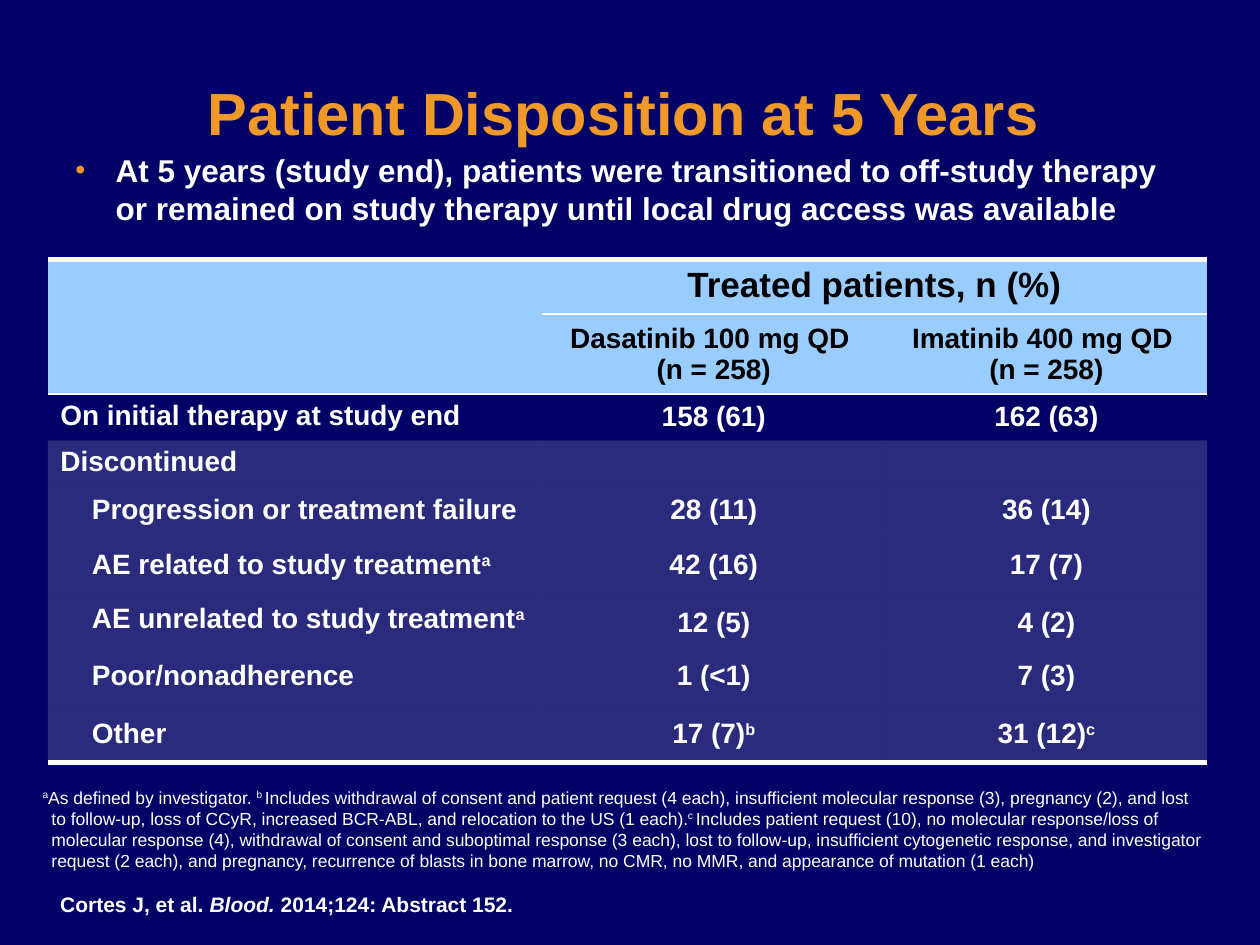
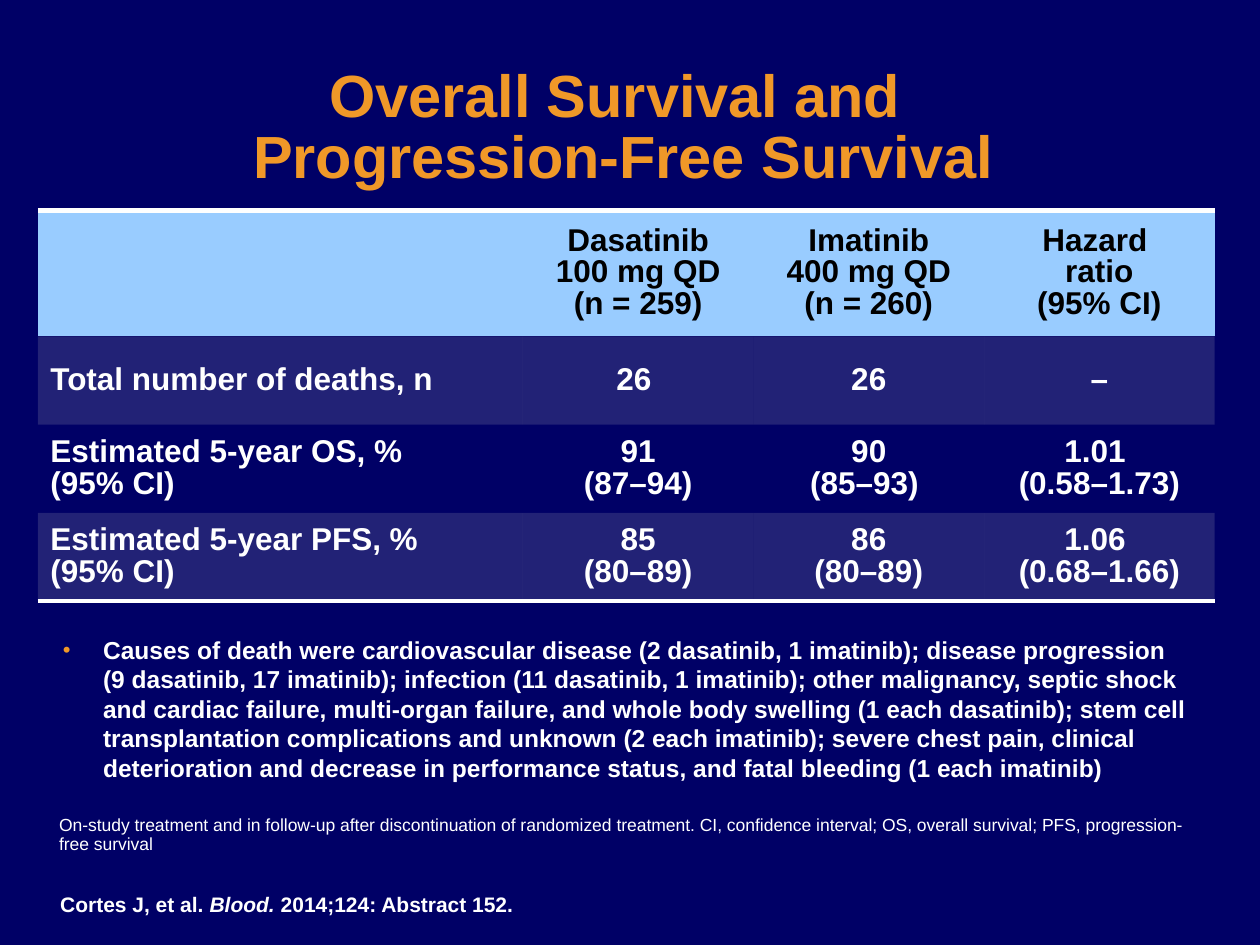
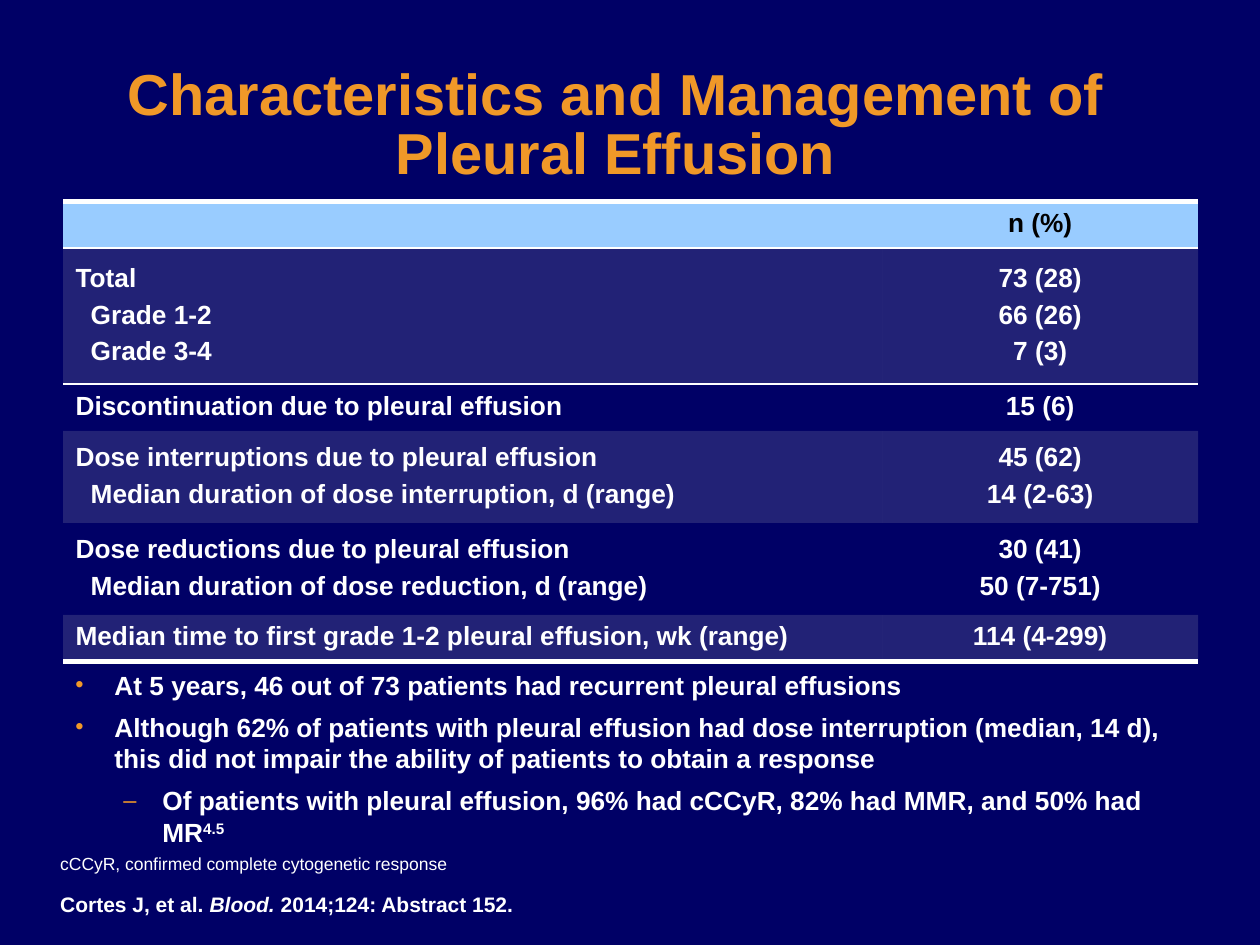
from copy import deepcopy
from dataclasses import dataclass, field
from typing import NamedTuple

from lxml.etree import SubElement
from pptx import Presentation
from pptx.dml.color import RGBColor
from pptx.enum.text import MSO_ANCHOR as Anchor, PP_ALIGN as Align
from pptx.oxml.ns import qn
from pptx.util import Inches, Pt

# Shared look
FONT = "Arial"
NAVY, ORANGE, WHITE, BLACK = "000066", "F09828", "FFFFFF", "000000"
HEADER_BLUE, GREY, BLUE_GREY = "99CCFF", "DADADA", "AAAAB8"
BAND_OPACITY = 20
TITLE_INSETS = (0, 0.05, 0.1, 0.05)
TEXT_INSETS = (0.1, 0.05, 0.1, 0.05)


class Run(NamedTuple):
    text: str
    superscript: bool = False
    italic: bool = False


@dataclass
class Para:
    content: str | list[Run]
    size: float | None = None
    indent: float = 0
    hanging: float = 0
    bullet: str = ""
    formats: dict = field(default_factory=dict)


@dataclass
class TextBlock:
    box: tuple[float, float, float, float]
    paragraphs: list[Para]
    size: float
    color: str = WHITE
    bold: bool = True
    anchor: Anchor = Anchor.TOP
    wrap: bool = True
    insets: tuple[float, float, float, float] = TEXT_INSETS


Cell = str | list[Para]


@dataclass
class TableBlock:
    left: float
    top: float
    columns: list[float]
    heights: list[float]
    cells: list[list[Cell]]
    size: float
    band_color: str
    banded_rows: set[int]
    rules: dict[int, float]  # row boundary -> line width
    header_rows: int = 1
    formats: dict = field(default_factory=dict)
    anchors: dict[tuple[int, int], Anchor] = field(default_factory=dict)
    merges: list[tuple[int, int, int, int]] = field(default_factory=list)


def rgb(color: str) -> RGBColor:
    return RGBColor.from_string(color)


def superscript(text: str) -> Run:
    return Run(text, superscript=True)


# Text
def style_font(font, size: float, color: str, bold: bool, italic: bool = False) -> None:
    values = {"name": FONT, "size": Pt(size), "bold": bold, "italic": italic}
    for name, value in values.items():
        setattr(font, name, value)
    font.color.rgb = rgb(color)


def add_run(paragraph, run: Run, size: float, color: str, bold: bool) -> None:
    for number, line in enumerate(run.text.split("\n")):
        if number:
            paragraph.add_line_break()
        text_run = paragraph.add_run()
        text_run.text = line
        style_font(text_run.font, size, color, bold, run.italic)
        properties = text_run._r.get_or_add_rPr()
        if run.superscript:
            properties.set("baseline", "30000")
        if number:
            text_run._r.getprevious().append(deepcopy(properties))


def add_bullet(properties, character: str) -> None:
    color = SubElement(properties, qn("a:buClr"))
    SubElement(color, qn("a:srgbClr"), val=ORANGE)
    SubElement(properties, qn("a:buSzPct"), val="90000")
    SubElement(properties, qn("a:buFont"), typeface=FONT)
    SubElement(properties, qn("a:buChar"), char=character)


def fill_text(frame, paragraphs: list[Para], size: float, color: str,
              bold: bool, formats: dict) -> None:
    for number, para in enumerate(paragraphs):
        paragraph = frame.add_paragraph() if number else frame.paragraphs[0]
        for name, value in (formats | para.formats).items():
            setattr(paragraph, name, value)
        properties = paragraph._p.get_or_add_pPr()
        properties.set("marL", str(Inches(para.indent)))
        properties.set("indent", str(Inches(para.hanging)))
        if para.bullet:
            add_bullet(properties, para.bullet)
        runs = [Run(para.content)] if isinstance(para.content, str) else para.content
        for run in runs:
            add_run(paragraph, run, para.size or size, color, bold)


def draw_text(slide, block: TextBlock) -> None:
    shape = slide.shapes.add_textbox(*map(Inches, block.box))
    frame = shape.text_frame
    left, top, right, bottom = map(Inches, block.insets)
    values = {"word_wrap": block.wrap, "vertical_anchor": block.anchor,
              "margin_left": left, "margin_top": top,
              "margin_right": right, "margin_bottom": bottom}
    for name, value in values.items():
        setattr(frame, name, value)
    fill_text(frame, block.paragraphs, block.size, block.color, block.bold, {})


# Tables
def set_borders(cell, top: float, bottom: float) -> None:
    properties = cell._tc.get_or_add_tcPr()
    widths = {"a:lnL": 0, "a:lnR": 0, "a:lnT": top, "a:lnB": bottom}
    for position, (tag, width) in enumerate(widths.items()):
        line = SubElement(properties, qn(tag), w=str(Pt(width)))
        if width:
            fill = SubElement(line, qn("a:solidFill"))
            SubElement(fill, qn("a:srgbClr"), val=WHITE)
        else:
            SubElement(line, qn("a:noFill"))
        properties.insert(position, line)


def set_fill(cell, block: TableBlock, row: int) -> None:
    if row < block.header_rows:
        cell.fill.solid()
        cell.fill.fore_color.rgb = rgb(HEADER_BLUE)
    elif row in block.banded_rows:
        cell.fill.solid()
        cell.fill.fore_color.rgb = rgb(block.band_color)
        color = cell._tc.tcPr.find(f".//{qn('a:srgbClr')}")
        SubElement(color, qn("a:alpha"), val=str(BAND_OPACITY * 1000))
    else:
        cell.fill.background()


def draw_table(slide, block: TableBlock) -> None:
    frame = slide.shapes.add_table(
        len(block.heights), len(block.columns), Inches(block.left), Inches(block.top),
        Inches(sum(block.columns)), Inches(sum(block.heights)))
    table = frame.table
    table.first_row = table.horz_banding = False
    for column, width in zip(table.columns, block.columns):
        column.width = Inches(width)
    for row, height in zip(table.rows, block.heights):
        row.height = Inches(height)
    for top, left, bottom, right in block.merges:
        table.cell(top, left).merge(table.cell(bottom, right))

    for row, contents in enumerate(block.cells):
        for column, content in enumerate(contents):
            cell = table.cell(row, column)
            if cell.is_spanned:
                continue
            cell.vertical_anchor = block.anchors.get((row, column), Anchor.MIDDLE)
            set_fill(cell, block, row)
            last_row = row + (cell.span_height if cell.is_merge_origin else 1)
            set_borders(cell, block.rules.get(row, 0), block.rules.get(last_row, 0))
            if not content:
                SubElement(cell.text_frame.paragraphs[0]._p, qn("a:endParaRPr"),
                           sz=str(block.size * 100))
                continue
            paragraphs = [Para(content)] if isinstance(content, str) else content
            color = BLACK if row < block.header_rows else WHITE
            align = Align.CENTER if column else Align.LEFT
            fill_text(cell.text_frame, paragraphs, block.size, color, True,
                      block.formats | {"alignment": align})


# Shared parts
def title(text: str, box: tuple[float, float, float, float], size: float = 34,
          spacing: float = 0.85) -> TextBlock:
    formats = {"alignment": Align.CENTER, "line_spacing": spacing}
    return TextBlock(box, [Para(text, formats=formats)], size, ORANGE,
                     anchor=Anchor.MIDDLE, insets=TITLE_INSETS)


def bullet(content: str | list[Run], indent: float = 0.32, hanging: float = 0.32,
           character: str = "•", after: float = 0) -> Para:
    return Para(content, indent=indent, hanging=-hanging, bullet=character,
                formats={"space_before": Pt(6), "space_after": Pt(after)})


def footnote(text: str, box: tuple[float, float, float, float]) -> TextBlock:
    formats = {"line_spacing": 0.9, "space_before": Pt(4)}
    return TextBlock(box, [Para(text, formats=formats)], 10, bold=False,
                     anchor=Anchor.BOTTOM)


def lines(*texts: str, indent: float = 0) -> list[Para]:
    """First line flush left, the following lines indented."""
    return [Para(text, indent=indent if number else 0)
            for number, text in enumerate(texts)]


def sub_item(*runs: Run) -> list[Para]:
    return [Para(list(runs), indent=0.25)]


CITATION = TextBlock(
    (0.38, 7.03, 3.83, 0.3),
    [Para([Run("Cortes J, et al. "), Run("Blood. ", italic=True),
           Run("2014;124: Abstract 152.")])], 12, wrap=False)

# Slide 1: patient disposition
DISPOSITION_TABLE = TableBlock(
    0.38, 2.06, [3.92, 2.73, 2.55],
    [0.41, 0.59, 0.35, 0.35, 0.37, 0.51, 0.38, 0.48, 0.45],
    [
        ["", [Para("Treated patients, n (%)", size=20)], ""],
        ["", "Dasatinib 100 mg QD \n(n = 258)", "Imatinib 400 mg QD \n(n = 258)"],
        ["On initial therapy at study end", "158 (61)", "162 (63)"],
        ["Discontinued", "", ""],
        [sub_item(Run("Progression or treatment failure")), "28 (11)", "36 (14)"],
        [sub_item(Run("AE related to study treatment"), superscript("a")),
         "42 (16)", "17 (7)"],
        [sub_item(Run("AE unrelated to study treatment"), superscript("a")),
         "12 (5)", "4 (2)"],
        [sub_item(Run("Poor/nonadherence")), "1 (<1)", "7 (3)"],
        [sub_item(Run("Other")), [Para([Run("17 (7)"), superscript("b")])],
         [Para([Run("31 (12)"), superscript("c")])]],
    ],
    16, GREY, set(range(3, 9)), {0: 3, 1: 1, 2: 1, 9: 3}, header_rows=2,
    anchors={(0, 1): Anchor.TOP, (2, 0): Anchor.TOP, (3, 0): Anchor.TOP,
             (6, 0): Anchor.TOP, (6, 1): Anchor.BOTTOM, (6, 2): Anchor.BOTTOM},
    merges=[(0, 0, 1, 0), (0, 1, 0, 2)])

DISPOSITION_NOTES = TextBlock(
    (0.24, 6.19, 9.4, 0.77),
    [Para([
        superscript("a"), Run("As defined by investigator. "),
        superscript("b "),
        Run("Includes withdrawal of consent and patient request (4 each), insufficient "
            "molecular response (3), pregnancy (2), and lost to follow-up, loss of CCyR, "
            "increased BCR-ABL, and relocation to the US (1 each)."),
        superscript("c "),
        Run("Includes patient request (10), no molecular response/loss of molecular "
            "response (4), withdrawal of consent and suboptimal response (3 each), lost to "
            "follow-up, insufficient cytogenetic response, and investigator request "
            "(2 each), and pregnancy, recurrence of blasts in bone marrow, no CMR, no MMR, "
            "and appearance of mutation (1 each)"),
    ], indent=0.07, hanging=-0.12)], 10, bold=False, anchor=Anchor.BOTTOM)

DISPOSITION = [
    title("Patient Disposition at 5 Years", (0.27, 0.32, 9.45, 1.14), spacing=1.0),
    DISPOSITION_TABLE,
    TextBlock((0.5, 1.15, 9.01, 0.71), [bullet(
        "At 5 years (study end), patients were transitioned to off-study therapy or "
        "remained on study therapy until local drug access was available", after=6)], 18),
    DISPOSITION_NOTES,
]

# Slide 2: survival
SURVIVAL_TABLE = TableBlock(
    0.3, 1.67, [3.85] + [1.83] * 3, [1.0] + [0.7] * 3,
    [
        ["", "Dasatinib\n100 mg QD\n(n = 259)", "Imatinib\n400 mg QD\n(n = 260)",
         "Hazard \nratio\n(95% CI)"],
        ["Total number of deaths, n", "26 ", "26", "–"],
        [lines("Estimated 5-year OS, %", "(95% CI)"), lines("91", "(87–94)"),
         lines("90", "(85–93) "), "1.01 \n(0.58–1.73)"],
        ["Estimated 5-year PFS, % \n(95% CI)", lines("85", "(80–89)"),
         lines("86", "(80–89)"), "1.06 \n(0.68–1.66)"],
    ],
    18, BLUE_GREY, {1, 3}, {0: 3, 4: 3}, formats={"line_spacing": 0.9})

SURVIVAL = [
    title("Overall Survival and \nProgression-Free Survival", (0.27, 0.46, 9.45, 1.14)),
    SURVIVAL_TABLE,
    TextBlock((0.4, 4.99, 9.13, 1.8), [bullet(
        "Causes of death were cardiovascular disease (2 dasatinib, 1 imatinib); disease "
        "progression \n(9 dasatinib, 17 imatinib); infection (11 dasatinib, 1 imatinib); "
        "other malignancy, septic shock and cardiac failure, multi-organ failure, and "
        "whole body swelling (1 each dasatinib); stem cell transplantation complications "
        "and unknown (2 each imatinib); severe chest pain, clinical deterioration and "
        "decrease in performance status, and fatal bleeding (1 each imatinib)",
        after=6)], 14),
    footnote("On-study treatment and in follow-up after discontinuation of randomized "
             "treatment. CI, confidence interval; OS, overall survival; PFS, "
             "progression-free survival", (0.37, 6.43, 9.32, 0.4)),
]

# Slide 3: pleural effusion
EFFUSION_TABLE = TableBlock(
    0.5, 1.6, [6.5, 2.51], [0.37, 1.08, 0.37, 0.73, 0.73, 0.37],
    [
        ["", "n (%)"],
        [lines("Total", "Grade 1-2", "Grade 3-4", indent=0.12),
         lines("73 (28)", "66 (26)", "7 (3)")],
        ["Discontinuation due to pleural effusion", "15 (6)"],
        [lines("Dose interruptions due to pleural effusion",
               "Median duration of dose interruption, d (range)", indent=0.12),
         lines("45 (62)", "14 (2-63)")],
        [lines("Dose reductions due to pleural effusion",
               "Median duration of dose reduction, d (range)", indent=0.12),
         lines("30 (41)", "50 (7-751)")],
        ["Median time to first grade 1-2 pleural effusion, wk (range)", "114 (4-299)"],
    ],
    15, BLUE_GREY, {1, 3, 5}, {0: 3, 1: 1, 2: 1.5, 6: 3},
    formats={"line_spacing": 0.9, "space_before": Pt(6)})

EFFUSION = [
    EFFUSION_TABLE,
    title("Characteristics and Management of \nPleural Effusion ", (0, 0.44, 10, 1.14), 33),
    TextBlock((0.5, 5.26, 9.01, 0.43), [
        bullet("At 5 years, 46 out of 73 patients had recurrent pleural effusions",
               0.31, 0.31),
        bullet("Although 62% of patients with pleural effusion had dose interruption "
               "(median, 14 d), this did not impair the ability of patients to obtain a "
               "response", 0.31, 0.31),
        bullet([Run("Of patients with pleural effusion, 96% had cCCyR, 82% had MMR, and "
                    "50% had MR"), superscript("4.5")], 0.69, 0.31, "‒"),
    ], 15),
    footnote("cCCyR, confirmed complete cytogenetic response", (0.38, 6.74, 9.8, 0.25)),
]


def main() -> None:
    presentation = Presentation()
    presentation.slide_width, presentation.slide_height = Inches(10), Inches(7.5)
    for blocks in (DISPOSITION, SURVIVAL, EFFUSION):
        slide = presentation.slides.add_slide(presentation.slide_layouts[6])
        slide.background.fill.solid()
        slide.background.fill.fore_color.rgb = rgb(NAVY)
        for block in [*blocks, CITATION]:
            draw = draw_table if isinstance(block, TableBlock) else draw_text
            draw(slide, block)
    presentation.save("out.pptx")


if __name__ == "__main__":
    main()
